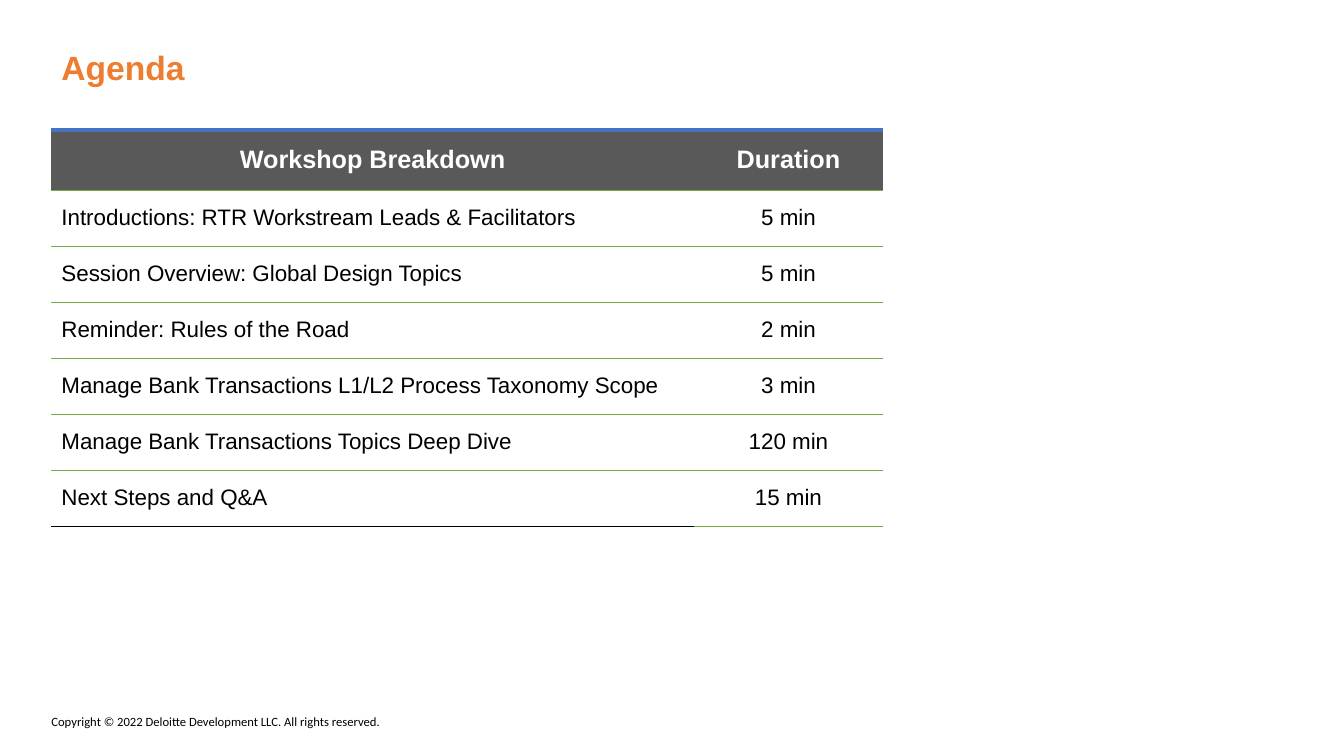
from dataclasses import dataclass

import pptx
import pptx.dml.color
import pptx.enum.text
import pptx.oxml
import pptx.oxml.ns
import pptx.util

Pt = pptx.util.Pt
RGBColor = pptx.dml.color.RGBColor
ALIGN = pptx.enum.text.PP_ALIGN
MIDDLE = pptx.enum.text.MSO_ANCHOR.MIDDLE

ORANGE = RGBColor(0xED, 0x7D, 0x31)
BLUE = RGBColor(0x44, 0x72, 0xC4)
GREEN = RGBColor(0x70, 0xAD, 0x47)
GRAY = RGBColor(0x59, 0x59, 0x59)
WHITE = RGBColor(0xFF, 0xFF, 0xFF)
BLACK = RGBColor(0, 0, 0)

LEFT = 36.72
COLUMN_WIDTHS = (459, 135)
HEADER_HEIGHT = 43
ROW_HEIGHT = 40
HEADER_FONT = {"name": "Arial", "size": Pt(18), "bold": True}
BODY_FONT = {"name": "Arial", "size": Pt(16), "bold": False}


@dataclass(frozen=True)
class AgendaItem:
    topic: str
    duration: str


@dataclass(frozen=True)
class Border:
    color: RGBColor
    width: float


@dataclass(frozen=True)
class Label:
    text: str
    left: float
    top: float
    width: float
    height: float
    inset_x: float
    inset_y: float
    line_spacing: float
    color: RGBColor
    font: dict


HEADER = AgendaItem("Workshop Breakdown", "Duration")
ITEMS = (
    AgendaItem("Introductions: RTR Workstream Leads & Facilitators", "5 min"),
    AgendaItem("Session Overview: Global Design Topics", "5 min"),
    AgendaItem("Reminder: Rules of the Road", "2 min"),
    AgendaItem("Manage Bank Transactions L1/L2 Process Taxonomy Scope", "3 min"),
    AgendaItem("Manage Bank Transactions Topics Deep Dive", "120 min"),
    AgendaItem("Next Steps and Q&A", "15 min"),
)
LABELS = (
    Label("Copyright © 2022 Deloitte Development LLC. All rights reserved.",
          LEFT, 509.76, 422, 10.8, 0, 0, 1, BLACK,
          {"name": "Calibri", "size": Pt(9), "bold": False}),
    Label("Agenda", LEFT, 31.68, 886.32, 36, 7.2, 3.6, 0.9, ORANGE,
          {"name": "Arial", "size": Pt(24), "bold": True}),
)
TOP_RULE = Border(BLUE, 3)
ROW_RULE = Border(GREEN, 0.25)
CLOSING_RULE = Border(BLACK, 0.25)


def apply_font(font: pptx.text.text.Font, values: dict, color: RGBColor) -> None:
    for name, value in values.items():
        setattr(font, name, value)
    font.color.rgb = color


def add_label(slide: pptx.slide.Slide, label: Label) -> None:
    shape = slide.shapes.add_textbox(
        Pt(label.left), Pt(label.top), Pt(label.width), Pt(label.height))
    frame = shape.text_frame
    frame.word_wrap = True
    frame.vertical_anchor = MIDDLE
    frame.margin_left = frame.margin_right = Pt(label.inset_x)
    frame.margin_top = frame.margin_bottom = Pt(label.inset_y)
    paragraph = frame.paragraphs[0]
    paragraph.text = label.text
    paragraph.line_spacing = label.line_spacing
    apply_font(paragraph.runs[0].font, label.font, label.color)


def set_borders(cell: pptx.table._Cell, top: Border, bottom: Border) -> None:
    """Rule the top and bottom of a cell and clear its sides; call before filling."""
    properties = cell._tc.get_or_add_tcPr()
    for tag, border in (("lnL", None), ("lnR", None), ("lnT", top), ("lnB", bottom)):
        width = Pt(border.width) if border else 0
        paint = (f'<a:solidFill><a:srgbClr val="{border.color}"/></a:solidFill>'
                 if border else "<a:noFill/>")
        properties.append(pptx.oxml.parse_xml(
            f'<a:{tag} {pptx.oxml.ns.nsdecls("a")} w="{width}">{paint}</a:{tag}>'))


def add_agenda(slide: pptx.slide.Slide) -> None:
    rows = (HEADER, *ITEMS)
    last = len(ITEMS)
    table = slide.shapes.add_table(
        len(rows), len(COLUMN_WIDTHS), Pt(LEFT), Pt(92.88), Pt(sum(COLUMN_WIDTHS)),
        Pt(HEADER_HEIGHT + ROW_HEIGHT * last)).table
    table.first_row = True
    table.horz_banding = False
    for column, width in zip(table.columns, COLUMN_WIDTHS):
        column.width = Pt(width)
    for row_index, item in enumerate(rows):
        is_header = row_index == 0
        table.rows[row_index].height = Pt(HEADER_HEIGHT if is_header else ROW_HEIGHT)
        for column_index, text in enumerate((item.topic, item.duration)):
            is_topic = column_index == 0
            cell = table.cell(row_index, column_index)
            closes = row_index == last and is_topic
            set_borders(cell, TOP_RULE if is_header else ROW_RULE,
                        CLOSING_RULE if closes else ROW_RULE)
            if is_header:
                cell.fill.solid()
                cell.fill.fore_color.rgb = GRAY
            else:
                cell.fill.background()
            cell.vertical_anchor = MIDDLE
            cell.margin_left = cell.margin_right = Pt(7.2)
            cell.margin_top = cell.margin_bottom = Pt(
                3.6 if is_topic and not is_header else 7.2)
            paragraph = cell.text_frame.paragraphs[0]
            paragraph.text = text
            paragraph.alignment = (
                ALIGN.LEFT if is_topic and not is_header else ALIGN.CENTER)
            apply_font(paragraph.runs[0].font, HEADER_FONT if is_header else BODY_FONT,
                       WHITE if is_header else BLACK)


def main() -> None:
    presentation = pptx.Presentation()
    presentation.slide_width = Pt(960)
    presentation.slide_height = Pt(540)
    slide = presentation.slides.add_slide(presentation.slide_layouts[6])
    add_agenda(slide)
    for label in LABELS:
        add_label(slide, label)
    presentation.save("out.pptx")


if __name__ == "__main__":
    main()
